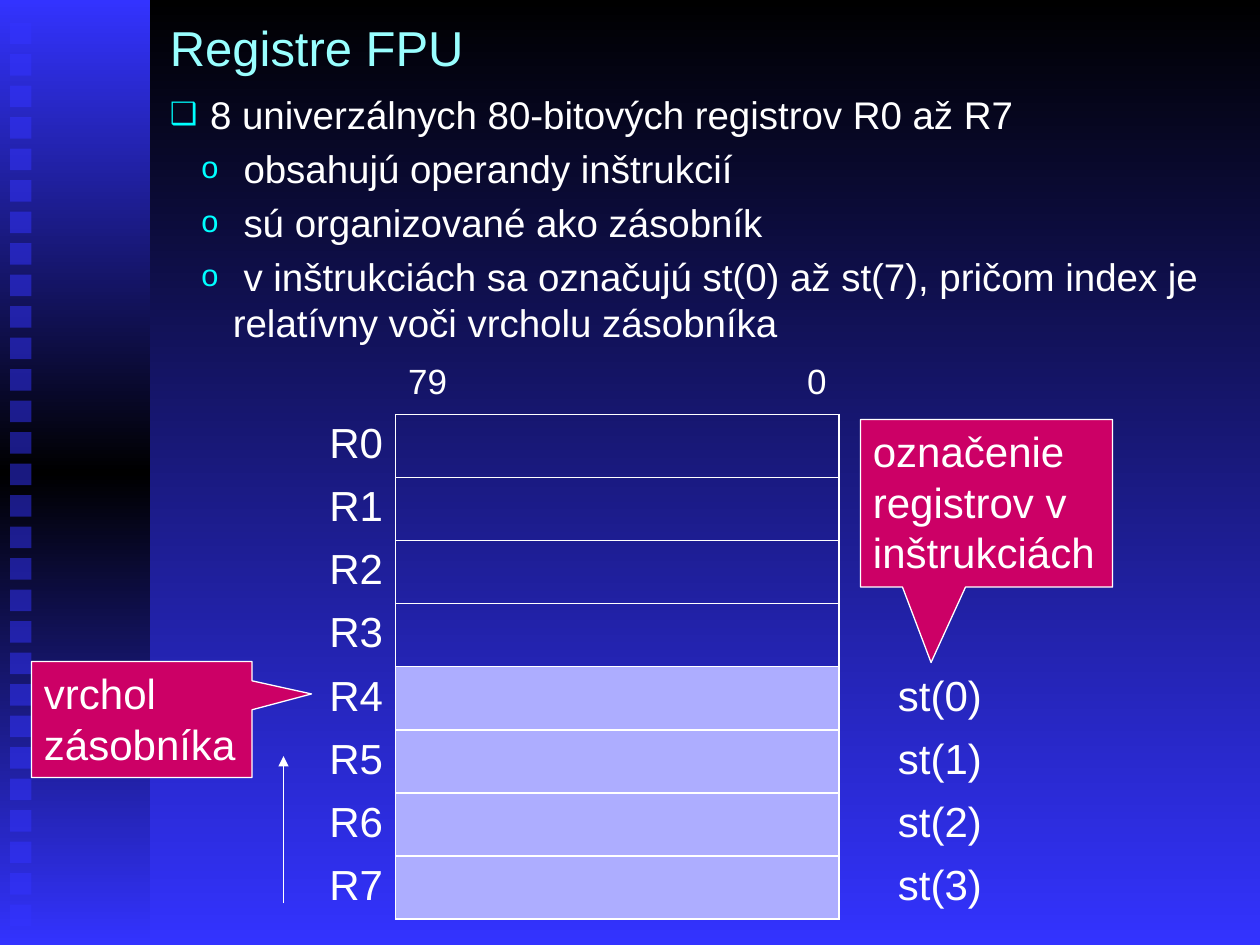
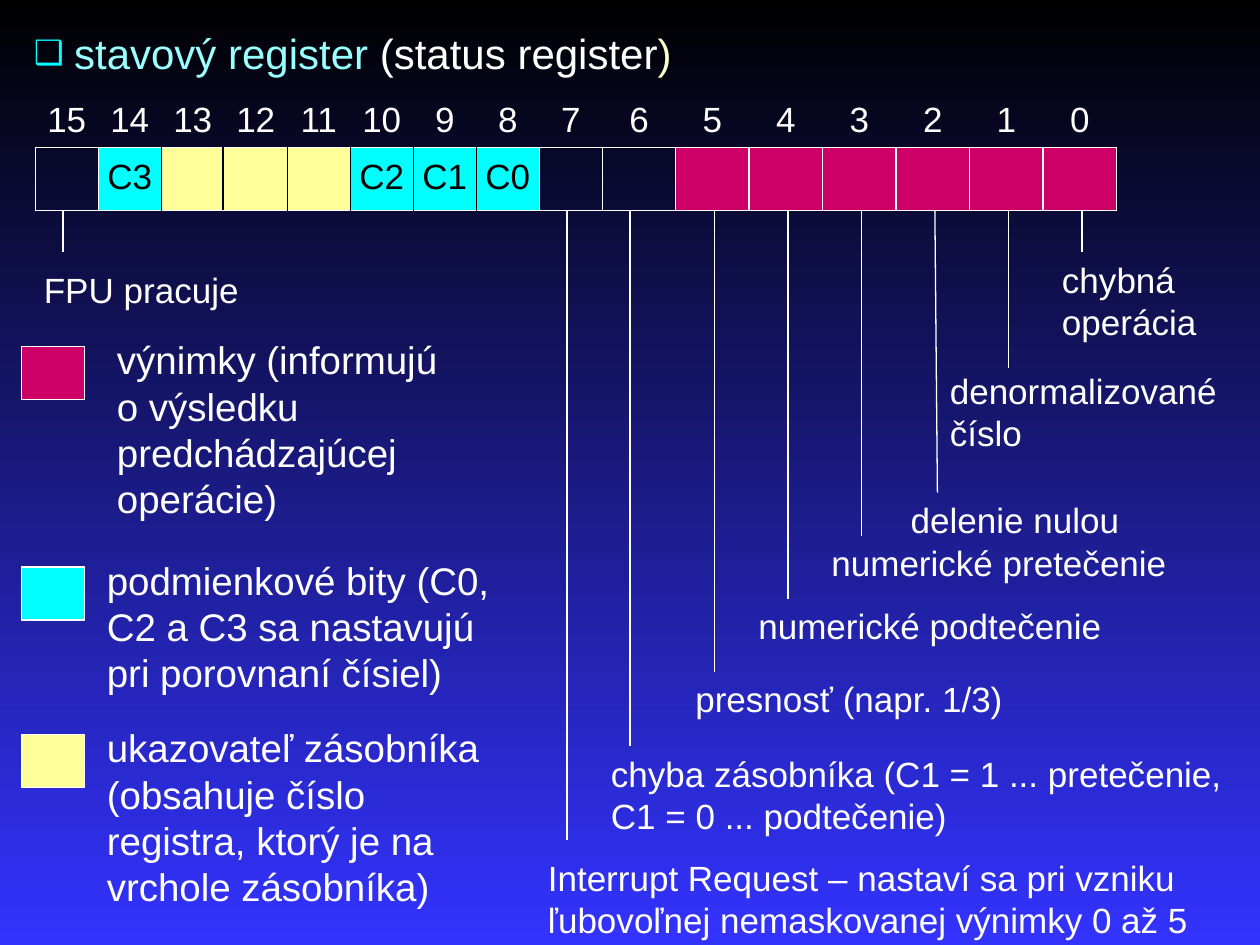
from copy import deepcopy
from dataclasses import dataclass

from lxml.etree import SubElement
from pptx import Presentation
from pptx.dml.color import RGBColor
from pptx.enum.shapes import MSO_CONNECTOR, MSO_SHAPE
from pptx.enum.text import MSO_ANCHOR, PP_ALIGN
from pptx.oxml.ns import qn
from pptx.util import Inches, Pt


@dataclass(frozen=True)
class Theme:
    """Colours, font and type sizes shared by the slides."""
    black: str = "000000"
    blue: str = "3333FF"
    white: str = "FFFFFF"
    aqua: str = "99FFFF"
    cyan: str = "00FFFF"
    cream: str = "FFFFCC"
    yellow: str = "FFFF99"
    pink: str = "CC0066"
    lilac: str = "ADADFF"
    font: str = "Arial"
    title: int = 28
    head: int = 24
    body: int = 22
    note: int = 20
    thin: float = 0.75
    plain: str = "{2D5ABB26-0587-4C30-8999-92F81FD0307C}"


T = Theme()


def rgb(code):
    """Turn a hex code into a colour."""
    return RGBColor.from_string(code)


def blend(fill, codes):
    """Fill from top to bottom with evenly spaced colours."""
    fill.gradient()
    fill.gradient_angle = 270
    stops = fill.gradient_stops
    if len(codes) > len(stops):
        last = stops[1]._stop if hasattr(stops[1], "_stop") else stops[1]._gs
        last.addnext(deepcopy(last))
    for i, code in enumerate(codes):
        stop = fill.gradient_stops[i]
        stop.color.rgb = rgb(code)
        stop.position = i / (len(codes) - 1)


def style(para, size, color=T.white):
    """Format every run of a paragraph."""
    for run in para.runs:
        run.font.name = T.font
        run.font.size = Pt(size)
        run.font.color.rgb = rgb(color)


def bullet(para, mark, left, hang):
    """Give a paragraph a cyan hanging bullet."""
    props = para._p.get_or_add_pPr()
    props.set("marL", str(Inches(left)))
    props.set("indent", str(-Inches(hang)))
    tint = SubElement(props, qn("a:buClr"))
    SubElement(tint, qn("a:srgbClr"), val=T.cyan)
    SubElement(props, qn("a:buSzPct"), val="80000")
    SubElement(props, qn("a:buFont"), typeface=T.font)
    SubElement(props, qn("a:buChar"), char=mark)


def label(slide, box, text, size, color=T.white, top=0.05):
    """Place wrapped text and return its frame."""
    frame = slide.shapes.add_textbox(*map(Inches, box)).text_frame
    frame.word_wrap = True
    frame.margin_top = Inches(top)
    frame.text = text
    style(frame.paragraphs[0], size, color)
    return frame


def block(slide, box, color, kind=MSO_SHAPE.RECTANGLE):
    """Draw a filled shape with a thin white outline."""
    shape = slide.shapes.add_shape(kind, *map(Inches, box))
    shape.shadow.inherit = False
    shape.fill.solid()
    shape.fill.fore_color.rgb = rgb(color)
    shape.line.color.rgb = rgb(T.white)
    shape.line.width = Pt(T.thin)
    return shape


def line(slide, start, end, color=T.white, arrow=False):
    """Draw a thin straight line, with an arrowhead if asked."""
    link = slide.shapes.add_connector(
        MSO_CONNECTOR.STRAIGHT, *map(Inches, (*start, *end)))
    link.line.color.rgb = rgb(color)
    link.line.width = Pt(T.thin)
    if arrow:
        SubElement(link.line._get_or_add_ln(), qn("a:tailEnd"), type="triangle")
    SubElement(link._element.spPr, qn("a:effectLst"))


def callout(slide, box, text, tip):
    """Draw a pink callout whose tip is relative to its box."""
    shape = block(slide, box, T.pink, MSO_SHAPE.RECTANGULAR_CALLOUT)
    for i, value in enumerate(tip):
        shape.adjustments[i] = value
    frame = shape.text_frame
    frame.word_wrap = True
    frame.vertical_anchor = MSO_ANCHOR.TOP
    frame.text = text
    frame.paragraphs[0].alignment = PP_ALIGN.LEFT
    style(frame.paragraphs[0], T.head)


def grid(slide, left, top, cols, rows):
    """Add a plain table with clear cells."""
    shape = slide.shapes.add_table(
        len(rows), len(cols), Inches(left), Inches(top),
        Inches(sum(cols)), Inches(sum(rows)))
    table = shape.table
    table.first_row = table.horz_banding = False
    table._tbl.tblPr[0].text = T.plain
    for col, width in zip(table.columns, cols):
        col.width = Inches(width)
    for row, height in zip(table.rows, rows):
        row.height = Inches(height)
    for cell in table.iter_cells():
        cell.fill.background()
    return table


def write(cell, text, size, align, color=T.white):
    """Put aligned text into a cell."""
    cell.text = text
    para = cell.text_frame.paragraphs[0]
    para.alignment = align
    style(para, size, color)


def frame(cell, left=T.white, right=T.white, fill=None):
    """Give a cell its borders and fill."""
    props = cell._tc.get_or_add_tcPr()
    sides = zip("LRTB", (left, right, T.white, T.white))
    for i, (side, color) in enumerate(sides):
        edge = props.makeelement(qn("a:ln" + side), {"w": str(Pt(1))})
        paint = SubElement(edge, qn("a:solidFill"))
        SubElement(paint, qn("a:srgbClr"), val=color)
        props.insert(i, edge)
    if fill:
        cell.fill.solid()
        cell.fill.fore_color.rgb = rgb(fill)


def base(deck):
    """Add a blank slide with the shared background."""
    slide = deck.slides.add_slide(deck.slide_layouts[6])
    blend(slide.background.fill, (T.black, T.blue))
    return slide


def band(slide, width, height):
    """Draw the left band and its column of faint squares."""
    strip = block(slide, (0, 0, width, height), T.blue)
    strip.line.fill.background()
    blend(strip.fill, (T.blue, T.black, T.blue))
    for i in range(29):
        dot = block(slide, (0.08, 0.18 + i * 0.25, 0.17, 0.17), T.blue)
        dot.line.fill.background()
        tint = dot._element.spPr.find(qn("a:solidFill"))[0]
        SubElement(tint, qn("a:alpha"), val="50000")


def points(slide, box, lead, items):
    """Write a bulleted lead with its sub-points."""
    text = label(slide, box, lead, T.body)
    bullet(text.paragraphs[0], "❑", 0.32, 0.32)
    for item in items:
        para = text.add_paragraph()
        para.text = item
        para.space_before = Pt(4.5)
        bullet(para, "o", 0.5, 0.25)
        style(para, T.body)


def stack(slide, left, top):
    """Draw the register stack, whose lower half is in use."""
    table = grid(slide, left, top, (0.89, 1.55, 1.97, 1.6), [0.46] + [0.5] * 8)
    write(table.cell(0, 1), "79", T.note, PP_ALIGN.LEFT)
    write(table.cell(0, 2), "0", T.note, PP_ALIGN.RIGHT)
    for i in range(8):
        name, slot, rest, mark = (table.cell(i + 1, j) for j in range(4))
        write(name, f"R{i}", T.head, PP_ALIGN.RIGHT)
        used = i >= 4
        frame(slot, fill=T.lilac if used else None)
        frame(rest)
        slot.merge(rest)
        if used:
            write(mark, f"st({i - 4})", T.head, PP_ALIGN.CENTER)


def bits(slide, left, top):
    """Draw the status word with its numbered bits."""
    table = grid(slide, left, top, [0.5] * 9 + [7 / 12] * 7, (0.42, 0.5))
    names = {1: "C3", 5: "C2", 6: "C1", 7: "C0"}
    for col in range(16):
        head, cell = table.cell(0, col), table.cell(1, col)
        for item, over, under in ((head, 0.05, 0), (cell, 0.08, 0.05)):
            item.margin_left = item.margin_right = Inches(0.04)
            item.margin_top, item.margin_bottom = Inches(over), Inches(under)
        write(head, str(15 - col), T.note, PP_ALIGN.CENTER)
        fill = T.cyan if col in names else T.yellow if 2 <= col <= 4 else None
        fill = T.pink if col >= 10 else fill
        frame(cell, T.black if 2 <= col <= 7 else T.white,
              T.black if 1 <= col <= 6 else T.white, fill)
        if col in names:
            write(cell, names[col], T.note, PP_ALIGN.CENTER, T.black)
    table.cell(1, 2).merge(table.cell(1, 3))
    split = left + 1.49
    line(slide, (split, top + 0.42), (split, top + 0.92), T.black)


def notes(slide, top):
    """Lead a line from each single bit down to its meaning."""
    items = (
        (0, 2, (0.25, 2.08, 2, 0.43), "FPU pracuje"),
        (8, 6.67, (4.25, 6.75, 5.5, 0.77), "Interrupt Request – nastaví sa pri "
         "vzniku ľubovoľnej nemaskovanej výnimky 0 až 5"),
        (9, 5.92, (4.75, 5.92, 5.25, 0.77), "chyba zásobníka (C1 = 1 ... "
         "pretečenie, C1 = 0 ... podtečenie)"),
        (10, 5.33, (5.42, 5.33, 4.58, 0.43), "presnosť (napr. 1/3)"),
        (11, 4.75, (5.92, 4.75, 3.89, 0.43), "numerické podtečenie"),
        (12, 4.25, (6.5, 4.25, 3.3, 0.44), "numerické pretečenie"),
        (13, 3.91, (7.13, 3.91, 2.33, 0.43), "delenie nulou"),
        (14, 2.92, (7.44, 2.88, 2.56, 0.77), "denormalizované číslo"),
        (15, 2, (8.33, 2, 1.42, 0.77), "chybná operácia"),
    )
    for col, end, box, text in items:
        x = 0.5 + col * 0.5 if col < 10 else 5.67 + (col - 10) * 7 / 12
        slant = 0.02 if col == 13 else 0
        line(slide, (x, top), (x + slant, end))
        label(slide, box, text, T.note)


def legend(slide, left):
    """Explain the colours of the bits."""
    items = (
        (T.pink, 2.75, 0.66, 2.92, 1.61,
         "výnimky (informujú o výsledku predchádzajúcej operácie)"),
        (T.cyan, 4.5, 0.58, 3.42, 1.24,
         "podmienkové bity (C0, C2 a C3 sa nastavujú pri porovnaní čísiel)"),
        (T.yellow, 5.83, 0.58, 3.25, 1.62,
         "ukazovateľ zásobníka (obsahuje číslo registra, ktorý je na vrchole "
         "zásobníka)"),
    )
    for color, top, gap, width, height, text in items:
        block(slide, (left, top, 0.5, 0.42), color)
        box = (left + gap, top - 0.17, width, height)
        label(slide, box, text, T.body, top=0.09)


def heading(slide, box, parts):
    """Write a bulleted heading in several colours."""
    para = label(slide, box, "", T.head).paragraphs[0]
    bullet(para, "❑", 0.32, 0.32)
    for text, color in parts:
        run = para.add_run()
        run.text = text
        run.font.name = T.font
        run.font.size = Pt(T.head)
        run.font.color.rgb = rgb(color)


def stack_slide(deck):
    """Build the slide on the register stack."""
    slide = base(deck)
    band(slide, 1.19, 7.5)
    title = label(slide, (1.25, 0, 8.5, 0.75), "Registre FPU", T.title, T.aqua)
    title.vertical_anchor = MSO_ANCHOR.MIDDLE
    points(slide, (1.25, 0.67, 8.5, 2.18),
           "8 univerzálnych 80-bitových registrov R0 až R7",
           (" obsahujú operandy inštrukcií",
            " sú organizované ako zásobník",
            " v inštrukciách sa označujú st(0) až st(7), pričom index je "
            "relatívny voči vrcholu zásobníka"))
    stack(slide, 2.25, 2.83)
    callout(slide, (0.25, 5.25, 1.75, 0.92), "vrchol zásobníka", (0.77, -0.22))
    callout(slide, (6.83, 3.33, 2, 1.33),
            "označenie registrov v inštrukciách", (-0.22, 0.95))
    line(slide, (2.25, 7.17), (2.25, 6), arrow=True)


def status_slide(deck):
    """Build the slide on the status register."""
    slide = base(deck)
    heading(slide, (0.17, 0.17, 8.5, 0.5),
            (("stavový register ", T.aqua), ("(status register", T.white),
             (")", T.cream)))
    bits(slide, 0.28, 0.75)
    notes(slide, 1.67)
    legend(slide, 0.17)


def main():
    """Build and save the deck."""
    deck = Presentation()
    deck.slide_width, deck.slide_height = Inches(10), Inches(7.5)
    stack_slide(deck)
    status_slide(deck)
    deck.save("out.pptx")


if __name__ == "__main__":
    main()
